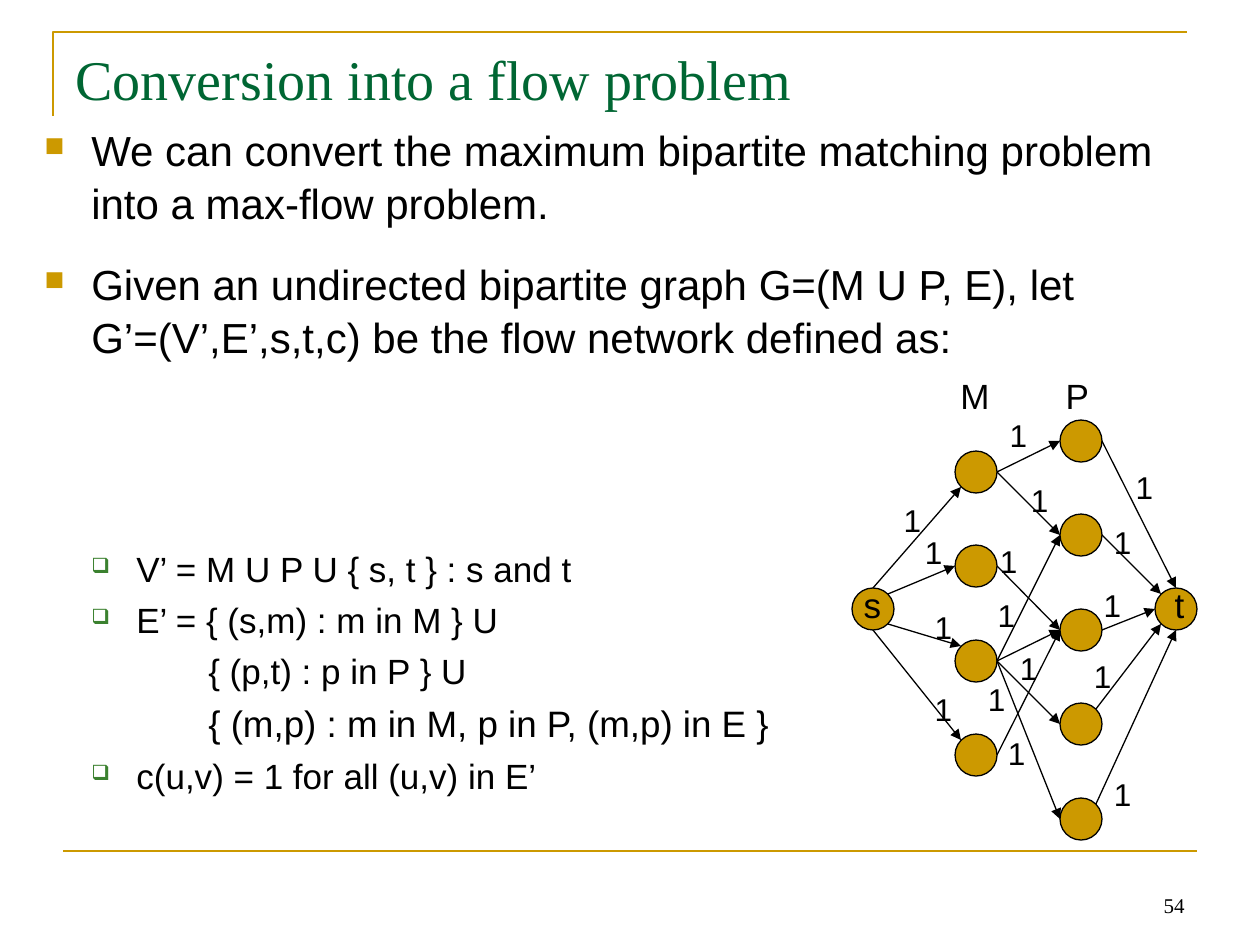
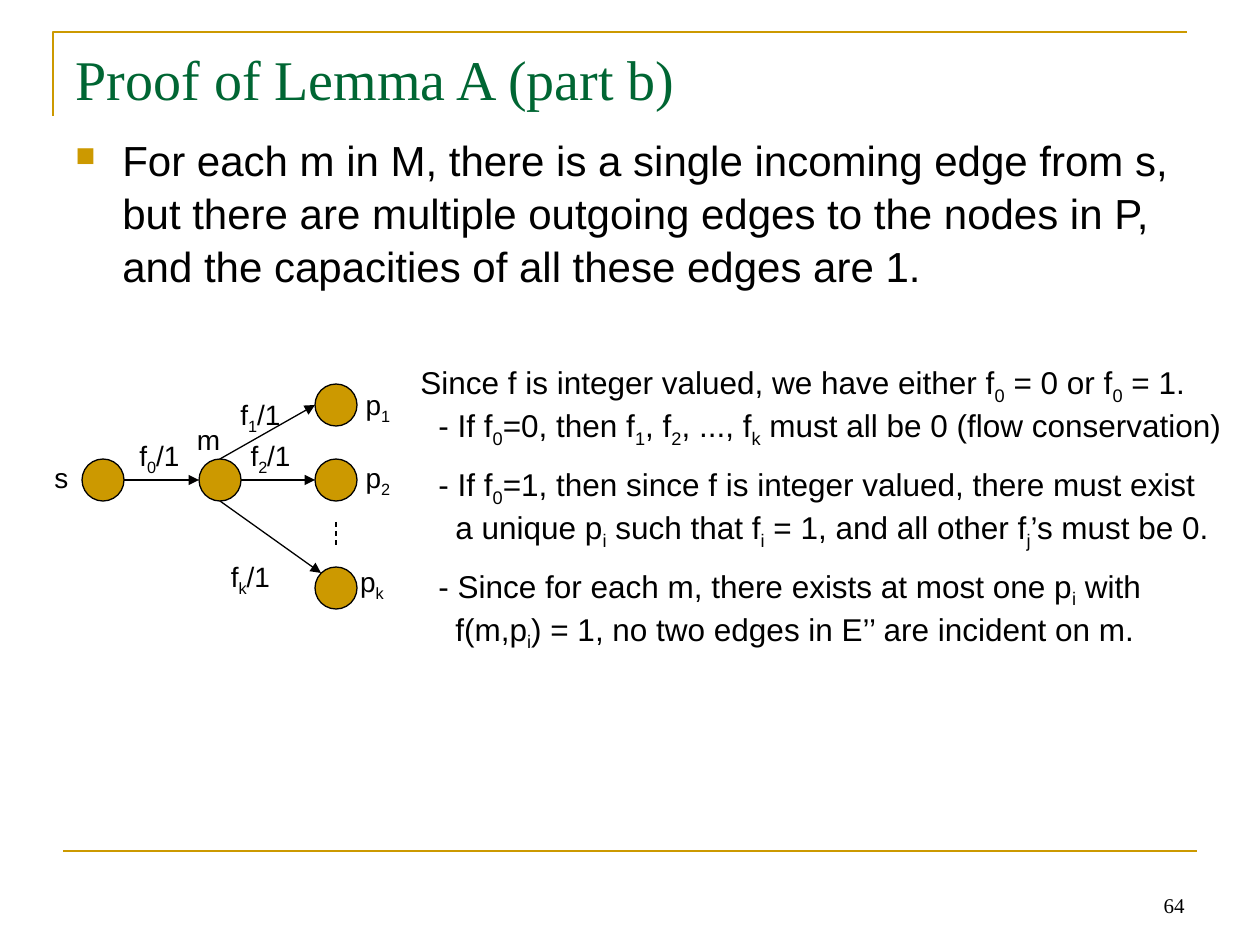
from dataclasses import dataclass

from lxml.etree import SubElement
from pptx import Presentation
from pptx.dml.color import RGBColor
from pptx.enum.dml import MSO_LINE
from pptx.enum.shapes import MSO_CONNECTOR, MSO_SHAPE
from pptx.enum.text import MSO_ANCHOR, MSO_AUTO_SIZE, PP_ALIGN
from pptx.oxml.ns import qn
from pptx.util import Pt

EMU_PER_PX = 914400 / 126
NODE_SIZE = 42
DIAGONAL = 15  # centre to the corner points of a node


@dataclass(frozen=True)
class Theme:
    gold: str = "CC9900"
    green: str = "006633"
    leaf: str = "3B812F"
    black: str = "000000"
    sans: str = "Arial"
    serif: str = "Times New Roman"
    title: int = 32
    body: int = 24
    detail: int = 20
    detail_large: int = 21
    note: int = 18
    label: int = 16
    footer: int = 12
    rule: float = 1.5
    edge: float = 0.75


THEME = Theme()


@dataclass(frozen=True)
class Node:
    left: int
    top: int

    def point(self, side):
        """Return the point on the outline at a compass side such as "n" or "sw"."""
        reach = DIAGONAL if len(side) == 2 else NODE_SIZE // 2
        across = ("e" in side) - ("w" in side)
        down = ("s" in side) - ("n" in side)
        centre_x = self.left + NODE_SIZE // 2
        centre_y = self.top + NODE_SIZE // 2
        return centre_x + across * reach, centre_y + down * reach


def px(length):
    return round(length * EMU_PER_PX)


def rgb(color):
    return RGBColor.from_string(color)


# Text
def add_bullet(properties, character, color, percent):
    bullet_color = SubElement(properties, qn("a:buClr"))
    SubElement(bullet_color, qn("a:srgbClr"), val=color)
    SubElement(properties, qn("a:buSzPct"), val=str(percent * 1000))
    SubElement(properties, qn("a:buChar"), char=character)


def write_text(frame, text, *, size, font=THEME.sans, color=THEME.black,
               align=PP_ALIGN.LEFT, before=0, line=1.0, margin=0, indent=0,
               bullet=None):
    """Write one paragraph; an underscore lowers the character after it."""
    paragraph = frame.paragraphs[0]
    if paragraph.runs:
        paragraph = frame.add_paragraph()
    paragraph.alignment = align
    paragraph.space_before = Pt(before)
    paragraph.line_spacing = line
    properties = paragraph._p.get_or_add_pPr()
    properties.set("marL", str(px(margin)))
    properties.set("indent", str(px(indent)))
    if bullet:
        add_bullet(properties, *bullet)

    plain, *lowered = text.split("_")
    pieces = [(plain, False)]
    for piece in lowered:
        pieces += [(piece[0], True), (piece[1:], False)]
    for content, is_subscript in pieces:
        if not content:
            continue
        run = paragraph.add_run()
        run.text = content
        run.font.size = Pt(size)
        run.font.name = font
        run.font.color.rgb = rgb(color)
        if is_subscript:
            run._r.get_or_add_rPr().set("baseline", "-25000")


def add_text_frame(slide, left, top, width, height, wrap=True):
    box = slide.shapes.add_textbox(px(left), px(top), px(width), px(height))
    box.text_frame.word_wrap = wrap
    return box.text_frame


def add_label(slide, text, left, top, width, height, size):
    frame = add_text_frame(slide, left, top, width, height, wrap=False)
    write_text(frame, text, size=size, align=PP_ALIGN.CENTER)


def write_point(frame, text, before=0):
    write_text(frame, text, size=THEME.body, before=before, line=1.05,
               margin=47, indent=-47, bullet=("■", THEME.gold, 65))


def write_definition(frame, text, before=4):
    write_text(frame, text, size=THEME.detail, before=before, line=1.05,
               margin=92, indent=-45, bullet=("❑", THEME.leaf, 60))


def write_continuation(frame, text, size=THEME.detail):
    write_text(frame, text, size=size, before=4, line=1.05, margin=164)


# Lines and nodes
def add_line(slide, start, end, color=THEME.black, width=THEME.edge,
             arrow=False, dash=None):
    line = slide.shapes.add_connector(
        MSO_CONNECTOR.STRAIGHT, *(px(value) for value in (*start, *end)))
    line.line.color.rgb = rgb(color)
    line.line.width = Pt(width)
    if dash:
        line.line.dash_style = dash
    if arrow:
        SubElement(line.line._get_or_add_ln(), qn("a:tailEnd"), type="triangle")
    SubElement(line._element.spPr, qn("a:effectLst"))


def add_node(slide, node):
    circle = slide.shapes.add_shape(
        MSO_SHAPE.OVAL, px(node.left), px(node.top), px(NODE_SIZE), px(NODE_SIZE))
    circle.shadow.inherit = False
    circle.fill.solid()
    circle.fill.fore_color.rgb = rgb(THEME.gold)
    circle.line.color.rgb = rgb(THEME.black)
    circle.line.width = Pt(THEME.edge)


def add_edge(slide, source, source_side, target, target_side):
    add_line(slide, source.point(source_side), target.point(target_side), arrow=True)


# Shared slide frame
def add_frame_slide(presentation, title, number):
    slide = presentation.slides.add_slide(presentation.slide_layouts[5])

    builder = slide.shapes.build_freeform(53, 116, scale=EMU_PER_PX)
    builder.add_line_segments([(53, 32), (1187, 32)], close=False)
    corner = builder.convert_to_shape()
    corner.shadow.inherit = False
    corner.fill.background()
    corner.line.color.rgb = rgb(THEME.gold)
    corner.line.width = Pt(THEME.rule)
    add_line(slide, (63, 851), (1197, 851), THEME.gold, THEME.rule)

    heading = slide.shapes.title
    heading.left, heading.top = px(63), px(38)
    heading.width, heading.height = px(1134), px(157)
    heading.text_frame.auto_size = MSO_AUTO_SIZE.NONE
    heading.text_frame.vertical_anchor = MSO_ANCHOR.TOP
    write_text(heading.text_frame, title, size=THEME.title, font=THEME.serif,
               color=THEME.green)

    footer = add_text_frame(slide, 903, 861, 294, 63)
    footer.vertical_anchor = MSO_ANCHOR.BOTTOM
    write_text(footer, number, size=THEME.footer, font=THEME.serif,
               align=PP_ALIGN.RIGHT)
    return slide


# Flow network slide
def add_flow_network(slide):
    source, sink = Node(852, 588), Node(1155, 588)
    m_nodes = [Node(955, 451 + row * 189 // 2) for row in range(4)]
    p_nodes = [Node(1060, 420 + row * 189 // 2) for row in range(5)]
    for node in (source, sink, *m_nodes, *p_nodes):
        add_node(slide, node)

    source_sides = [("n", "sw"), ("ne", "w"), ("se", "nw"), ("s", "nw")]
    for node, (start, end) in zip(m_nodes, source_sides):
        add_edge(slide, source, start, node, end)
    sink_sides = [("e", "n"), ("e", "nw"), ("e", "w"), ("ne", "sw"), ("ne", "s")]
    for node, (start, end) in zip(p_nodes, sink_sides):
        add_edge(slide, node, start, sink, end)
    matches = [(0, 0), (0, 1), (2, 1), (1, 2), (2, 2), (3, 2), (2, 3), (2, 4)]
    for m_index, p_index in matches:
        add_edge(slide, m_nodes[m_index], "e", p_nodes[p_index], "w")

    for text, left, top, width in [("M", 948, 368, 54), ("P", 1053, 368, 49),
                                   ("s", 851, 577, 43), ("t", 1162, 577, 35)]:
        add_label(slide, text, left, top, width, 54, THEME.detail)
    capacity_places = [
        (891, 495), (912, 527), (922, 602), (922, 684),
        (997, 410), (1018, 475), (987, 536), (985, 590),
        (1007, 643), (975, 674), (995, 728),
        (1123, 462), (1101, 517), (1091, 580), (1081, 651), (1101, 769),
    ]
    for left, top in capacity_places:
        add_label(slide, "1", left, top, 43, 50, THEME.note)


def build_conversion_slide(presentation):
    slide = add_frame_slide(presentation, "Conversion into a flow problem", "54")
    body = add_text_frame(slide, 32, 116, 1134, 624)
    write_point(body, "We can convert the maximum bipartite matching problem "
                      "into a max-flow problem.")
    write_point(body, "Given an undirected bipartite graph G=(M U P, E), let "
                      "G’=(V’,E’,s,t,c) be the flow network defined as:", before=16)
    write_definition(body, "V’ = M U P U { s, t } : s and t", before=105)
    write_definition(body, "E’ = { (s,m) : m in M } U")
    write_continuation(body, "{ (p,t) : p in P } U")
    write_continuation(body, "{ (m,p) : m in M, p in P, (m,p) in E }",
                       size=THEME.detail_large)
    write_definition(body, "c(u,v) = 1 for all (u,v) in E’")
    add_flow_network(slide)


# Lemma proof slide
def add_single_node_flow(slide):
    source, middle = Node(82, 459), Node(199, 459)
    first, second, last = (Node(315, top) for top in (384, 459, 567))
    for node in (source, middle, first, second, last):
        add_node(slide, node)
    add_edge(slide, source, "e", middle, "w")
    add_edge(slide, middle, "n", first, "w")
    add_edge(slide, middle, "e", second, "w")
    add_edge(slide, middle, "s", last, "nw")
    add_line(slide, (336, 522), (336, 548), dash=MSO_LINE.DASH)

    labels = [
        ("s", 42, 454, 39), ("m", 184, 416, 49),
        ("p_1", 352, 381, 52), ("p_2", 352, 454, 52), ("p_k", 347, 558, 50),
        ("f_0/1", 126, 432, 67), ("f_1/1", 227, 391, 67),
        ("f_2/1", 237, 432, 67), ("f_k/1", 217, 553, 67),
    ]
    for text, left, top, width in labels:
        add_label(slide, text, left, top, width, 47, THEME.label)


def build_lemma_slide(presentation):
    slide = add_frame_slide(presentation, "Proof of Lemma A (part b)", "64")
    body = add_text_frame(slide, 63, 126, 1134, 624)
    write_point(body, "For each m in M, there is a single incoming edge from s, "
                      "but there are multiple outgoing edges to the nodes in P, "
                      "and the capacities of all these edges are 1.")
    add_single_node_flow(slide)

    argument = add_text_frame(slide, 408, 357, 832, 273, wrap=False)
    steps = [
        ("Since f is integer valued, we have either f_0 = 0 or f_0 = 1.", 0, 0),
        ("- If f_0=0, then f_1, f_2, ..., f_k must all be 0 (flow conservation)", 18, 0),
        ("- If f_0=1, then since f is integer valued, there must exist", 18, 9),
        ("a unique p_i such that f_i = 1, and all other f_j’s must be 0.", 35, 0),
        ("- Since for each m, there exists at most one p_i with", 18, 9),
        ("f(m,p_i) = 1, no two edges in E’’ are incident on m.", 35, 0),
    ]
    for text, margin, before in steps:
        write_text(argument, text, size=THEME.note, margin=margin, before=before)


def main():
    presentation = Presentation()
    presentation.slide_width = px(1260)
    presentation.slide_height = px(945)
    build_conversion_slide(presentation)
    build_lemma_slide(presentation)
    presentation.save("out.pptx")


if __name__ == "__main__":
    main()
